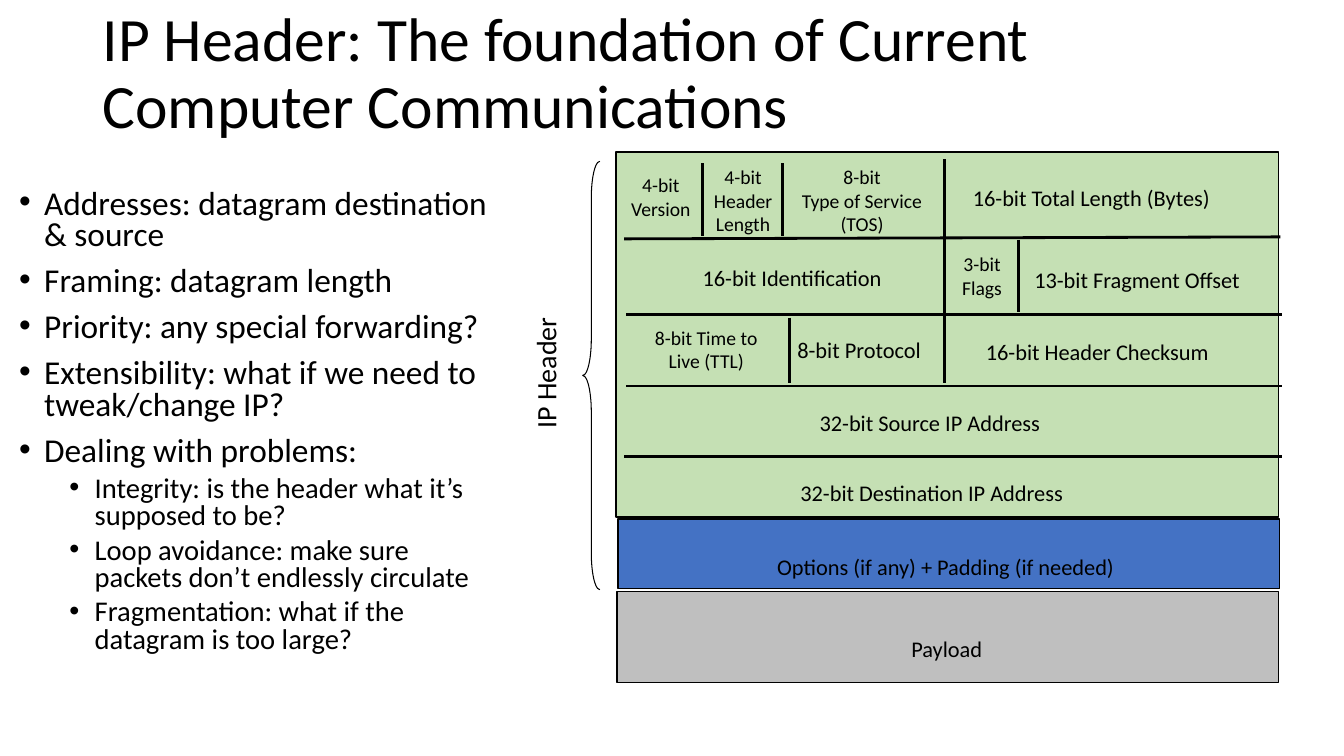
from lxml import etree
from pptx import Presentation
from pptx import util as u
from pptx.dml.color import RGBColor
from pptx.enum import shapes, text
from pptx.oxml import ns

COLORS = {"ink": "000000", "header": "C5E0B4", "options": "4472C4", "payload": "BFBFBF"}


class SlideBuilder:
    """Draws styled elements on the current slide."""

    font = "Calibri"

    def __init__(self, slide):
        self.s = slide

    def color(self, name):
        return RGBColor.from_string(COLORS[name])

    def style(self, p, size):
        for r in p.runs:
            r.font.size = u.Pt(size)
            r.font.name = self.font
            r.font.color.rgb = self.color("ink")

    def text(self, box, content, size, wrap=False, align=None, anchor="TOP", spacing=None, rotation=0):
        sp = self.s.shapes.add_textbox(*map(u.Inches, box))
        sp.rotation = rotation
        tf = sp.text_frame
        tf.text = content
        tf.word_wrap = wrap
        tf.vertical_anchor = text.MSO_ANCHOR[anchor]
        for p in tf.paragraphs:
            p.alignment = align
            p.line_spacing = spacing
            self.style(p, size)
        return tf

    def label(self, left, top, width, content):
        lines = content.count("\n") + 1
        size, align = (16, None) if lines == 1 else (14, text.PP_ALIGN.CENTER)
        height = {1: 0.37, 2: 0.57, 3: 0.8}[lines]
        self.text((left, top, width, height), content, size, align=align)

    def bullets(self, box, items):
        tf = self.text(box, "\n".join(t for _, t in items), 23.8, wrap=True, spacing=0.8)
        for p, (level, _) in zip(tf.paragraphs, items):
            p.level = level
            p.space_before = u.Pt(5 if level else 10)
            self.style(p, 20.4 if level else 23.8)
            pPr = p._p.get_or_add_pPr()
            pPr.set("marL", str(u.Inches(0.25 + 0.5 * level)))
            pPr.set("indent", str(u.Inches(-0.25)))
            etree.SubElement(pPr, ns.qn("a:buFont")).set("typeface", "Arial")
            etree.SubElement(pPr, ns.qn("a:buChar")).set("char", "•")

    def shape(self, kind, box, fill=None, weight=1):
        sp = self.s.shapes.add_shape(kind, *map(u.Inches, box))
        sp.shadow.inherit = False
        if fill:
            sp.fill.solid()
            sp.fill.fore_color.rgb = self.color(fill)
        else:
            sp.fill.background()
        sp.line.color.rgb = self.color("ink")
        sp.line.width = u.Pt(weight)
        return sp

    def line(self, *ends):
        c = self.s.shapes.add_connector(shapes.MSO_CONNECTOR.STRAIGHT, *map(u.Inches, ends))
        c.line.color.rgb = self.color("ink")
        c.line.width = u.Pt(2)
        etree.SubElement(c._element.spPr, ns.qn("a:effectLst"))


def main():
    prs = Presentation()
    prs.slide_width, prs.slide_height = u.Inches(13.33), u.Inches(7.5)
    b = SlideBuilder(prs.slides.add_slide(prs.slide_layouts[6]))

    b.text((0.92, 0.02, 11.5, 1.45), "IP Header: The foundation of Current Computer Communications",
           44, wrap=True, anchor="MIDDLE", spacing=0.9)
    b.bullets((0.09, 1.83, 4.85, 4.82), [
        (0, "Addresses: datagram destination & source"),
        (0, "Framing: datagram length"),
        (0, "Priority: any special forwarding?"),
        (0, "Extensibility: what if we need to tweak/change IP?"),
        (0, "Dealing with problems:"),
        (1, "Integrity: is the header what it’s supposed to be?"),
        (1, "Loop avoidance: make sure packets don’t endlessly circulate"),
        (1, "Fragmentation: what if the datagram is too large?"),
    ])

    for fill, box in (
        ("header", (6.11, 1.51, 6.57, 3.62)),
        ("options", (6.13, 5.15, 6.56, 0.69)),
        ("payload", (6.12, 5.87, 6.56, 0.9)),
    ):
        b.shape(shapes.MSO_SHAPE.RECTANGLE, box, fill)

    b.line(6.19, 2.37, 12.7, 2.35)
    for left, y in ((6.21, 3.12), (6.21, 3.83), (6.19, 4.53)):
        b.line(left, y, 12.72, y)
    for x, top, bottom in ((9.37, 1.58, 3.8), (7.76, 1.62, 2.34), (6.97, 1.62, 2.34),
                           (10.1, 2.38, 3.1), (7.83, 3.15, 3.8)):
        b.line(x, top, x, bottom)

    for field in (
        (6.16, 1.67, 0.79, "4-bit\nVersion"),
        (6.98, 1.59, 0.78, "4-bit\nHeader\nLength"),
        (7.85, 1.59, 1.4, "8-bit\nType of Service\n(TOS)"),
        (9.55, 1.78, 2.58, "16-bit Total Length (Bytes)"),
        (6.87, 2.57, 1.99, "16-bit Identification"),
        (9.44, 2.45, 0.6, "3-bit\nFlags"),
        (10.16, 2.59, 2.27, "13-bit Fragment Offset"),
        (6.37, 3.18, 1.27, "8-bit Time to\nLive (TTL)"),
        (7.81, 3.29, 1.44, "8-bit Protocol"),
        (9.68, 3.31, 2.44, "16-bit Header Checksum"),
        (8.03, 4.01, 2.41, "32-bit Source IP Address"),
        (7.84, 4.7, 2.84, "32-bit Destination IP Address"),
        (7.61, 5.44, 3.58, "Options (if any) + Padding (if needed)"),
        (8.94, 6.25, 0.91, "Payload"),
    ):
        b.label(*field)

    brace = b.shape(shapes.MSO_SHAPE.LEFT_BRACE, (5.78, 1.6, 0.17, 4.25), weight=0.75)
    brace.adjustments[0] = 2.125
    b.text((4.75, 3.47, 1.32, 0.44), "IP Header", 20, rotation=270)

    prs.save("out.pptx")


if __name__ == "__main__":
    main()
